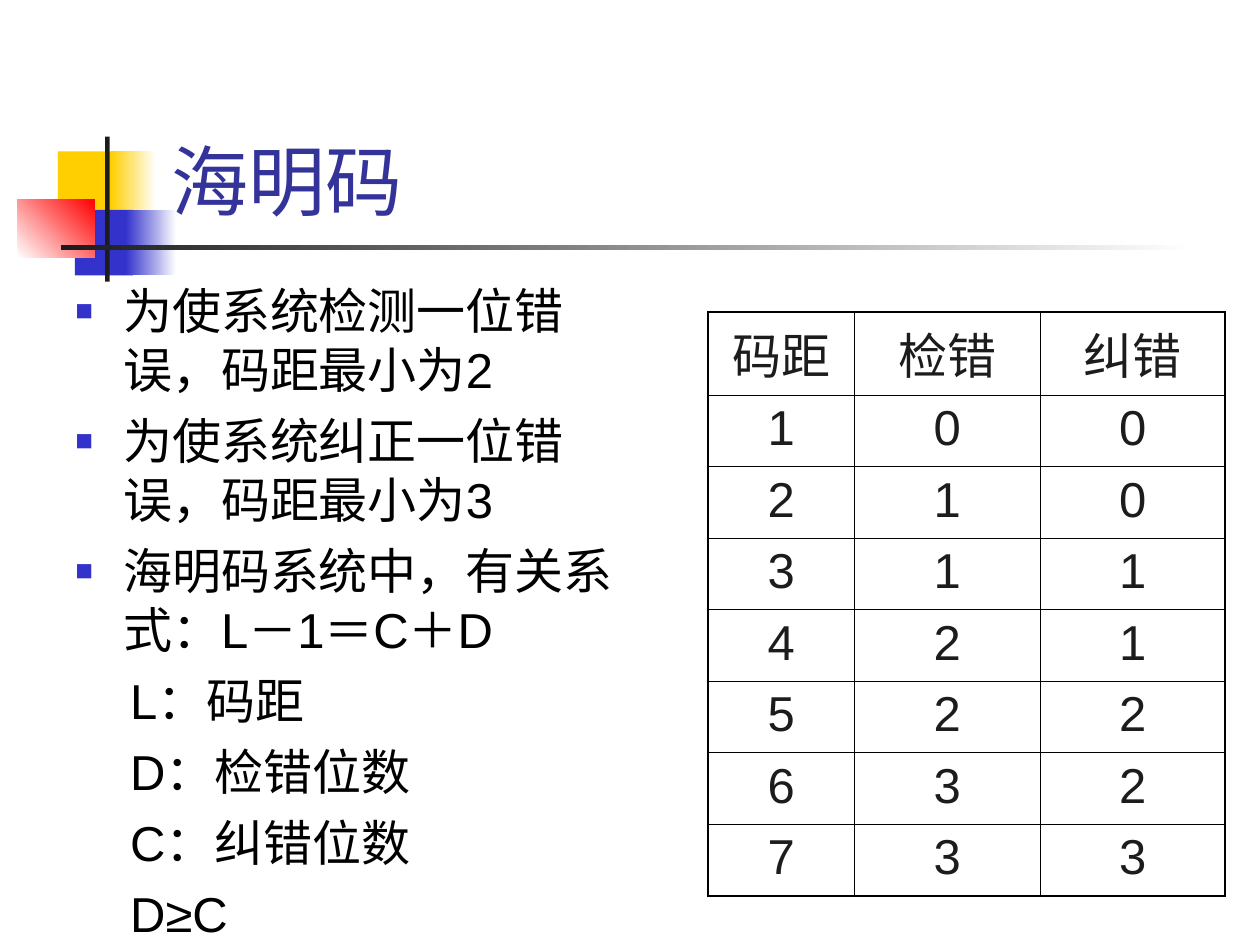
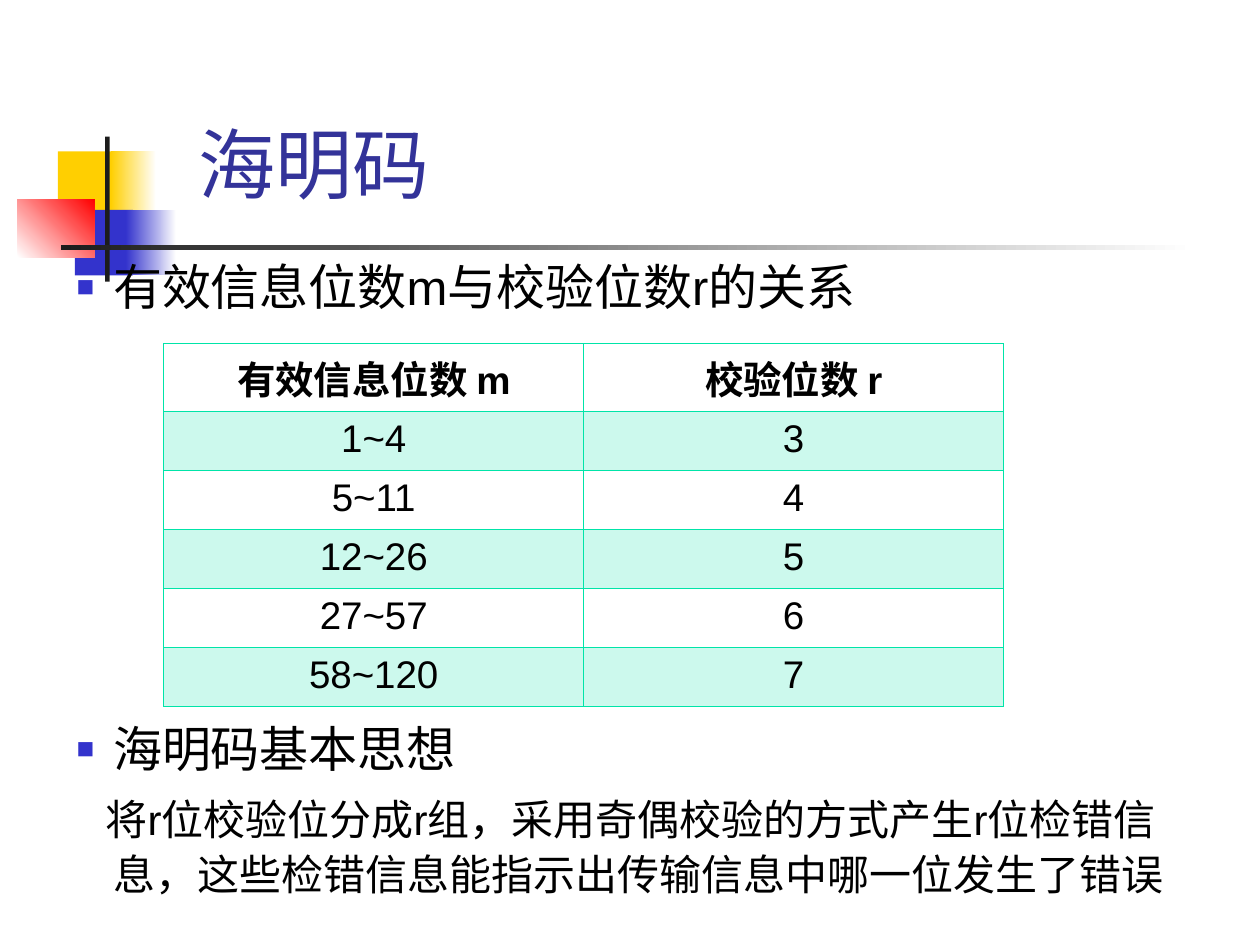
"""Build two slides on the Hamming code: code distance and check bits."""
from dataclasses import dataclass
from typing import Optional

from lxml.etree import SubElement as Sub
from pptx import Presentation
from pptx.dml.color import RGBColor as Rgb
from pptx.enum.shapes import MSO_SHAPE as Kind
from pptx.enum.text import MSO_ANCHOR as Anchor, PP_ALIGN as Align
from pptx.oxml.ns import qn
from pptx.util import Emu, Inches, Pt

UNIT = Inches(0.1)
COLS, ROWS = 100, 75
LATIN, HAN = "Arial", "Noto Sans CJK SC"
THIN = 0.45
HUES = {
    "gold": "FFCF01", "blue": "3333CC", "red": "FF0000", "ink": "1C1C1C",
    "white": "FFFFFF", "black": "000000", "title": "333399", "mint": "00E4A8",
}


@dataclass(frozen=True)
class Area:
    """A place on the grid, in columns and rows."""
    col: float
    row: float
    wide: float
    high: float

    def box(self) -> tuple:
        """Return left, top, width and height as lengths."""
        return tuple(units(n) for n in (self.col, self.row, self.wide, self.high))


@dataclass(frozen=True)
class Block:
    """A rectangle of the title mark, plain or fading to a second hue."""
    area: Area
    hue: str
    fade: Optional[str] = None
    angle: int = 0


@dataclass(frozen=True)
class Para:
    """A paragraph, its hanging margin and first-line indent in columns."""
    text: str
    margin: float
    indent: float
    bullet: bool = False
    size: int = 28
    before: int = 7


@dataclass(frozen=True)
class Grid:
    """A table with its sizes, borders and colours."""
    area: Area
    rows: list
    wides: list
    highs: list
    size: int
    ink: str
    line: str
    edge: float
    bold: bool = False
    band: Optional[str] = None


MARK = [
    Block(Area(4.6, 12.02, 4.8, 5.2), "gold"),
    Block(Area(8.8, 12.02, 3.6, 5.2), "gold", "white"),
    Block(Area(5.95, 16.65, 4.6, 5.2), "blue"),
    Block(Area(10, 16.65, 4, 5.2), "blue", "white"),
    Block(Area(1.4, 15.8, 6.1, 4.65), "white", "red", 45),
    Block(Area(8.35, 10.85, 0.35, 11.5), "ink"),
    Block(Area(4.85, 19.45, 90, 0.4), "ink", "white"),
]
RULES = [
    Para(text, 3.8, -3.8, True)
    for text in ("为使系统检测一位错误，码距最小为2",
                 "为使系统纠正一位错误，码距最小为3",
                 "海明码系统中，有关系式：L－1＝C＋D")
] + [
    Para(text, 3.8, 0.55)
    for text in ("L：码距", "D：检错位数", "C：纠错位数", "D≥C")
]
LINK = [Para("有效信息位数m与校验位数r的关系", 2.9, -2.9, True)]
IDEA = [
    Para("海明码基本思想", 2.9, -2.9, True),
    Para("将r位校验位分成r组，采用奇偶校验的方式产生r位检错信息，"
         "这些检错信息能指示出传输信息中哪一位发生了错误", 2.9, -0.6, size=24, before=6),
]
SPANS = Grid(
    Area(56.2, 24.75, 41, 46.4),
    [("码距", "检错", "纠错")]
    + [(str(n), str(n // 2), str((n - 1) // 2)) for n in range(1, 8)],
    [11.6, 14.75, 14.7], [6.6] + [5.68] * 7,
    28, "ink", "black", 1.08)
CHECKS = Grid(
    Area(13, 27.25, 66.6, 28.8),
    [("有效信息位数 m", "校验位数 r"), ("1~4", "3"), ("5~11", "4"),
     ("12~26", "5"), ("27~57", "6"), ("58~120", "7")],
    [33.33] * 2, [5.4] + [4.68] * 5,
    22, "black", "mint", THIN, True, "mint")


def units(count: float) -> Emu:
    """Turn grid units into a length."""
    return Emu(round(count * UNIT))


def tint(name: str) -> Rgb:
    """Look up a colour by name."""
    return Rgb.from_string(HUES[name])


def style(para, size: int, hue: str, face: str = LATIN, bold: bool = False) -> None:
    """Set the font of a whole paragraph, with the Chinese face beside it."""
    font = para.font
    font.name, font.size, font.bold = face, Pt(size), bold
    font.color.rgb = tint(hue)
    props = para._p.get_or_add_pPr().find(qn("a:defRPr"))
    Sub(props, qn("a:ea"), typeface=HAN)


def draw_block(slide, block: Block) -> None:
    """Draw one rectangle of the title mark."""
    shape = slide.shapes.add_shape(Kind.RECTANGLE, *block.area.box())
    shape.shadow.inherit = False
    shape.line.fill.background()
    if block.fade:
        shape.fill.gradient()
        shape.fill.gradient_angle = block.angle
        for stop, hue in zip(shape.fill.gradient_stops, (block.hue, block.fade)):
            stop.color.rgb = tint(hue)
    else:
        shape.fill.solid()
        shape.fill.fore_color.rgb = tint(block.hue)


def add_frame(slide, area: Area):
    """Add a wrapping text box and return its text frame."""
    frame = slide.shapes.add_textbox(*area.box()).text_frame
    frame.word_wrap = True
    return frame


def add_page(deck, title: Area):
    """Add a slide with the shared mark and title."""
    slide = deck.slides.add_slide(deck.slide_layouts[6])
    for block in MARK:
        draw_block(slide, block)
    frame = add_frame(slide, title)
    frame.vertical_anchor = Anchor.BOTTOM
    frame.text = "海明码"
    style(frame.paragraphs[0], 44, "title", HAN)
    return slide


def add_bullet(props) -> None:
    """Give a paragraph a small blue square bullet."""
    color = Sub(props, qn("a:buClr"))
    Sub(color, qn("a:srgbClr"), val=HUES["blue"])
    Sub(props, qn("a:buSzPct"), val="60000")
    Sub(props, qn("a:buFont"), typeface=LATIN)
    Sub(props, qn("a:buChar"), char="■")


def draw_text(slide, area: Area, paras: list, pitch: float) -> None:
    """Write a list of paragraphs into a text box."""
    frame = add_frame(slide, area)
    for place, item in enumerate(paras):
        para = frame.add_paragraph() if place else frame.paragraphs[0]
        para.text = item.text
        para.line_spacing = pitch
        para.space_before = Pt(item.before if place else 0)
        props = para._p.get_or_add_pPr()
        props.set("marL", str(units(item.margin)))
        props.set("indent", str(units(item.indent)))
        props.set("hangingPunct", "0")
        if item.bullet:
            add_bullet(props)
        style(para, item.size, "black")


def set_edges(cell, hue: str, widths: tuple) -> None:
    """Line a cell on its left, right, top and bottom."""
    props = cell._tc.get_or_add_tcPr()
    for place, (side, width) in enumerate(zip("LRTB", widths)):
        line = Sub(props, qn(f"a:ln{side}"), w=str(Pt(width)))
        Sub(Sub(line, qn("a:solidFill")), qn("a:srgbClr"), val=HUES[hue])
        props.insert(place, line)


def set_fill(cell, hue: Optional[str]) -> None:
    """Fill a cell with a faint hue, or leave it clear."""
    if not hue:
        cell.fill.background()
        return
    cell.fill.solid()
    cell.fill.fore_color.rgb = tint(hue)
    color = cell._tc.tcPr.find(f".//{qn('a:srgbClr')}")
    Sub(color, qn("a:alpha"), val="20000")


def draw_table(slide, grid: Grid) -> None:
    """Draw a table with a heading row."""
    down, wide = len(grid.rows), len(grid.wides)
    table = slide.shapes.add_table(down, wide, *grid.area.box()).table
    table.first_row = table.horz_banding = False
    for column, size in zip(table.columns, grid.wides):
        column.width = units(size)
    for row, size in zip(table.rows, grid.highs):
        row.height = units(size)
    tops = [grid.edge] + [THIN] * (down - 1) + [grid.edge]
    sides = [grid.edge] + [THIN] * (wide - 1) + [grid.edge]
    for r, texts in enumerate(grid.rows):
        for c, text in enumerate(texts):
            cell = table.cell(r, c)
            cell.text = text
            para = cell.text_frame.paragraphs[0]
            para.alignment = Align.CENTER
            style(para, grid.size, grid.ink, bold=grid.bold and r == 0)
            set_fill(cell, grid.band if r % 2 else None)
            set_edges(cell, grid.line, (*sides[c:c + 2], *tops[r:r + 2]))


def main() -> None:
    """Build and save the deck."""
    deck = Presentation()
    deck.slide_width, deck.slide_height = units(COLS), units(ROWS)

    span = add_page(deck, Area(12.6, 2.4, 85.2, 16))
    draw_text(span, Area(5, 21.8, 45.8, 53), RULES, 1)
    draw_table(span, SPANS)

    check = add_page(deck, Area(14.8, 7.5, 85.2, 9.6))
    draw_text(check, Area(5.1, 19.4, 93.7, 6.5), LINK, 1.1)
    draw_table(check, CHECKS)
    draw_text(check, Area(5.1, 56.1, 93.7, 17), IDEA, 1.1)

    deck.save("out.pptx")


if __name__ == "__main__":
    main()
